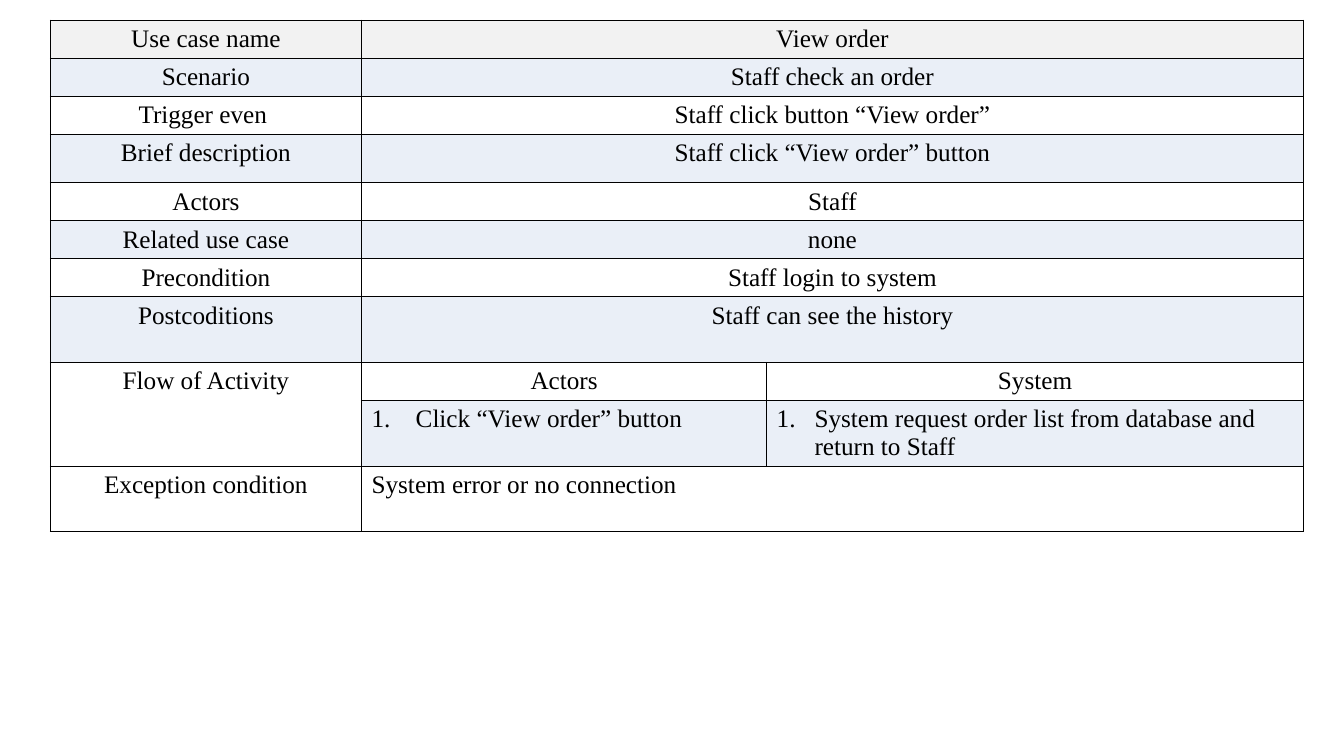
from lxml.etree import SubElement
from pptx import Presentation
from pptx.dml.color import RGBColor
from pptx.enum.text import PP_ALIGN
from pptx.oxml.ns import qn
from pptx.util import Pt

GREY, BLUE, WHITE = "F2F2F2", "EAEFF7", "FFFFFF"
LINE = 27.15
ROWS = [
    (LINE, GREY, "Use case name", "View order"),
    (LINE, BLUE, "Scenario", "Staff check an order"),
    (LINE, WHITE, "Trigger even ", "Staff click button “View order”"),
    (34.5, BLUE, "Brief description", "Staff click “View order” button"),
    (LINE, WHITE, "Actors", "Staff"),
    (LINE, BLUE, "Related use case", "none"),
    (LINE, WHITE, "Precondition", "Staff login to system"),
    (47, BLUE, "Postcoditions", "Staff can see the history"),
    (LINE, WHITE, "Flow of Activity", "Actors", "System"),
    (47, BLUE, "", " Click “View order” button",
     "System request order list from database and return to Staff"),
    (46.4, WHITE, "Exception condition", "System error or no connection"),
]
WIDTHS = (222.25, 289.4, 383.4)
FLOW, STEPS, LAST = 8, 9, 10


def color(code):
    return RGBColor.from_string(code)


class Page:
    def __init__(self, deck):
        self.slide = deck.slides.add_slide(deck.slide_layouts[6])
        self.font = {"name": "Times New Roman", "size": Pt(18), "bold": False}
        self.ink = "000000"

    def grid(self, left, top, widths, heights):
        frame = self.slide.shapes.add_table(
            len(heights), len(widths), Pt(left), Pt(top),
            Pt(sum(widths)), Pt(sum(heights)))
        table = frame.table
        table.first_row = table.horz_banding = False
        for col, width in zip(table.columns, widths):
            col.width = Pt(width)
        for row, height in zip(table.rows, heights):
            row.height = Pt(height)
        return table

    def paint(self, cell, fill):
        props = cell._tc.get_or_add_tcPr()
        for side in ("lnL", "lnR", "lnT", "lnB"):
            line = SubElement(props, qn(f"a:{side}"), w=str(Pt(1)))
            solid = SubElement(line, qn("a:solidFill"))
            SubElement(solid, qn("a:srgbClr"), val=self.ink)
        cell.fill.solid()
        cell.fill.fore_color.rgb = color(fill)

    def label(self, cell, text, align):
        para = cell.text_frame.paragraphs[0]
        para.alignment = align
        run = para.add_run()
        run.text = text
        for key, value in self.font.items():
            setattr(run.font, key, value)
        run.font.color.rgb = color(self.ink)

    def number(self, cell, indent):
        props = cell.text_frame.paragraphs[0]._p.get_or_add_pPr()
        props.set("marL", str(Pt(indent)))
        props.set("indent", str(Pt(-indent)))
        SubElement(props, qn("a:buFont"), typeface="+mj-lt")
        SubElement(props, qn("a:buAutoNum"), type="arabicPeriod")


def main():
    deck = Presentation()
    deck.slide_width, deck.slide_height = Pt(960), Pt(540)
    page = Page(deck)
    table = page.grid(36, 14.4, WIDTHS, [row[0] for row in ROWS])

    for r, (_, fill, *texts) in enumerate(ROWS):
        for c in range(len(WIDTHS)):
            head = r == STEPS and c == 0
            page.paint(table.cell(r, c), WHITE if head else fill)
        if len(texts) == 2:
            table.cell(r, 1).merge(table.cell(r, 2))
        for c, text in enumerate(texts):
            if not text:
                continue
            plain = c > 0 and r in (STEPS, LAST)
            cell = table.cell(r, c)
            page.label(cell, text, PP_ALIGN.LEFT if plain else PP_ALIGN.CENTER)
            if plain and r == STEPS:
                page.number(cell, 27)
    table.cell(FLOW, 0).merge(table.cell(STEPS, 0))
    deck.save("out.pptx")


if __name__ == "__main__":
    main()
